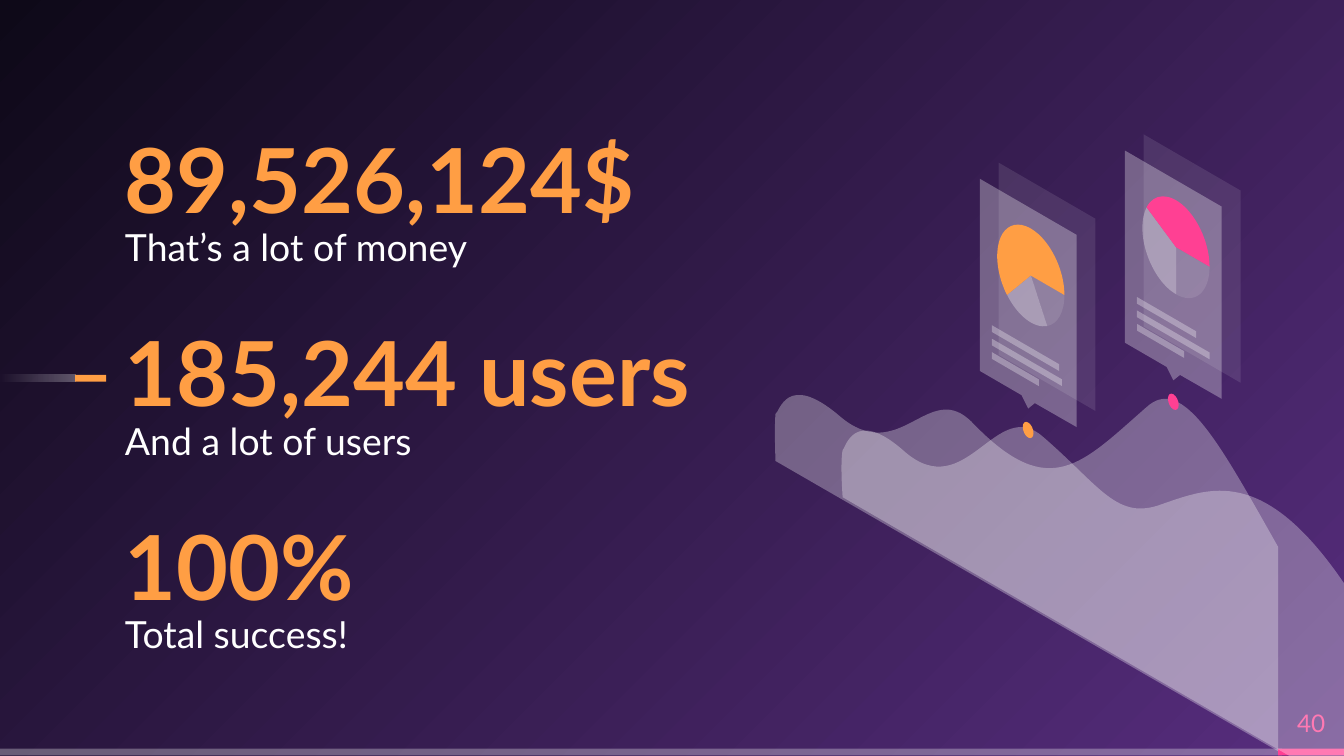
from dataclasses import dataclass
from math import cos, radians, sin, tan

from lxml.etree import SubElement
from pptx import Presentation
from pptx.dml.color import RGBColor
from pptx.enum.shapes import MSO_SHAPE as Shape
from pptx.enum.text import MSO_ANCHOR as Anchor, PP_ALIGN as Align
from pptx.oxml.ns import qn
from pptx.util import Cm, Pt

WHITE, ORANGE, PINK = "FFFFFF", "FF9E44", "FF4093"
FONT = "Lato"
SLOPE = 0.58  # fall per unit of width on the isometric cards
ARC_CURVES = 4

Point = tuple[float, float]
# Two numbers are a corner; six are a Bézier curve from the point before.
Outline = list[tuple[float, ...]]


@dataclass
class Figure:
    value: str
    caption: str


@dataclass
class Slice:
    start: int
    end: int
    color: str
    opacity: int = 100


@dataclass
class Card:
    center: Point
    accent: str
    bar_widths: list[float]
    slices: list[Slice]


FIGURES = [
    Figure("89,526,124$", "That’s a lot of money"),
    Figure("185,244 users", "And a lot of users"),
    Figure("100%", "Total success!"),
]

CARDS = [
    Card((8.75, 1.84), PINK, [0.44, 0.54, 0.35],
         [Slice(0, 90, WHITE, 10), Slice(90, 209, WHITE, 30), Slice(209, 360, PINK)]),
    Card((7.67, 2.05), ORANGE, [0.5, 0.52, 0.35],
         [Slice(0, 61, WHITE, 10), Slice(61, 135, WHITE, 30), Slice(135, 360, ORANGE)]),
]

WAVES: list[Outline] = [
    [(6.24, 3.09), (5.85, 2.76, 5.8, 3.07, 5.77, 3.08), (5.77, 3.08, 5.76, 3.16, 5.77, 3.43),
     (9.51, 5.59), (9.51, 4.07), (9.08, 3.31, 8.8, 2.78, 8.53, 3.03),
     (8.05, 3.45, 7.81, 3.74, 7.24, 3.15), (6.91, 2.8, 6.7, 3.49, 6.24, 3.09)],
    [(6.73, 3.36), (6.35, 3.02, 6.29, 3.34, 6.27, 3.35), (6.27, 3.35, 6.25, 3.42, 6.27, 3.7),
     (10, 5.86), (10, 4.34), (9.4, 3.46, 9, 3.63, 8.65, 3.75),
     (8.31, 3.88, 8.19, 3.62, 7.76, 3.25), (7.41, 2.94, 7.19, 3.76, 6.73, 3.36)],
]


def inch(value: float) -> Cm:
    return Cm(value * 2.54)


def rgb(color: str) -> RGBColor:
    return RGBColor.from_string(color)


def set_opacity(color_element, percent: int) -> None:
    SubElement(color_element, qn("a:alpha")).set("val", str(percent * 1000))


def paint(shape, color: str, opacity: int = 100) -> None:
    shape.shadow.inherit = False
    shape.line.fill.background()
    shape.fill.solid()
    shape.fill.fore_color.rgb = rgb(color)
    if opacity < 100:
        set_opacity(shape._element.spPr.find(".//" + qn("a:srgbClr")), opacity)


def add_bar(slide, left: float, top: float, width: float, color: str, opacity: int = 100):
    bar = slide.shapes.add_shape(
        Shape.RECTANGLE, inch(left), inch(top), inch(width), inch(0.05))
    paint(bar, color, opacity)
    return bar


def add_text(slide, text: str, left: float, top: float, width: float, height: float,
             size: int, color: str, *, bold: bool = False, anchor=Anchor.MIDDLE,
             align=Align.LEFT, spacing: float = 1.0) -> None:
    frame = slide.shapes.add_textbox(
        inch(left), inch(top), inch(width), inch(height)).text_frame
    frame.margin_left = frame.margin_right = frame.margin_top = frame.margin_bottom = 0
    frame.word_wrap = True
    frame.vertical_anchor = anchor
    frame.text = text
    paragraph = frame.paragraphs[0]
    paragraph.alignment = align
    paragraph.line_spacing = spacing
    font = paragraph.runs[0].font
    font.name, font.size, font.bold = FONT, Pt(size), bold
    font.color.rgb = rgb(color)


def flatten(outline: Outline, steps: int = 24) -> list[Point]:
    """Turn corners and curves into plain points, to measure the true extent."""
    points = [outline[0]]
    for segment in outline[1:]:
        if len(segment) == 2:
            points.append(segment)
            continue
        controls = [points[-1], segment[:2], segment[2:4], segment[4:]]
        for t in (step / steps for step in range(1, steps + 1)):
            weights = ((1 - t) ** 3, 3 * t * (1 - t) ** 2, 3 * t * t * (1 - t), t ** 3)
            points.append(tuple(
                sum(w * c[axis] for w, c in zip(weights, controls)) for axis in (0, 1)))
    return points


def add_outline(slide, outline: Outline, color: str, opacity: int = 100) -> None:
    """Size a freeform by its true extent, then write its segments as real curves."""
    corners = [(inch(x), inch(y)) for x, y in flatten(outline)]
    builder = slide.shapes.build_freeform(*corners[0])
    builder.add_line_segments(corners[1:], close=True)
    shape = builder.convert_to_shape()
    drawing = shape._element.spPr.find(".//" + qn("a:path"))
    for command in list(drawing):
        drawing.remove(command)
    for index, segment in enumerate(outline):
        tag = "a:cubicBezTo" if len(segment) == 6 else "a:lnTo" if index else "a:moveTo"
        command = SubElement(drawing, qn(tag))
        for x, y in zip(segment[::2], segment[1::2]):
            SubElement(command, qn("a:pt"), {
                "x": str(inch(x) - shape.left), "y": str(inch(y) - shape.top)})
    SubElement(drawing, qn("a:close"))
    paint(shape, color, opacity)


def isometric_arc(center: Point, radius: float, start: int, end: int) -> Outline:
    def project(u: float, v: float) -> Point:
        return center[0] + radius * u, center[1] + radius * (SLOPE * u + 1.4 * v)

    step = radians(end - start) / ARC_CURVES
    pull = 4 / 3 * tan(step / 4)
    outline: Outline = [project(cos(radians(start)), sin(radians(start)))]
    for index in range(ARC_CURVES):
        a = radians(start) + index * step
        b = a + step
        outline.append(project(cos(a) - pull * sin(a), sin(a) + pull * cos(a))
                       + project(cos(b) + pull * sin(b), sin(b) - pull * cos(b))
                       + project(cos(b), sin(b)))
    return outline


def slanted_panel(left: float, top: float, width: float, height: float) -> Outline:
    right, drop = left + width, width * SLOPE
    return [(left, top), (right, top + drop), (right, top + drop + height),
            (left, top + height)]


def add_card(slide, card: Card) -> None:
    x, y = card.center
    add_outline(slide, isometric_arc((x - 0.02, y + 1.15), 0.04, 0, 360), card.accent)
    add_outline(slide, slanted_panel(x - 0.24, y - 0.84, 0.72, 1.43), WHITE, 10)
    front = slanted_panel(x - 0.38, y - 0.72, 0.72, 1.43)
    pointer = [(x + 0.03, y + 0.95), (x - 0.02, y + 0.99), (x - 0.07, y + 0.89)]
    add_outline(slide, front[:3] + pointer + front[3:], WHITE, 30)
    for part in card.slices:
        arc = isometric_arc(card.center, 0.25, part.start, part.end)
        add_outline(slide, [card.center] + arc, part.color, part.opacity)
    for row, width in enumerate(card.bar_widths):
        add_outline(slide, slanted_panel(x - 0.29, y + 0.37 + 0.1 * row, width, 0.05),
                    WHITE, 30)


def set_background(slide) -> None:
    fill = slide.background.fill
    fill.gradient()
    for stop, color in zip(fill.gradient_stops, ("572D7E", "0E0918")):
        stop.color.rgb = rgb(color)
    gradient = slide._element.find(".//" + qn("a:gradFill"))
    gradient.remove(gradient.find(qn("a:lin")))
    circle = SubElement(gradient, qn("a:path"), {"path": "circle"})
    SubElement(circle, qn("a:fillToRect"), {"l": "100000", "t": "100000"})


def add_fading_bar(slide) -> None:
    bar = add_bar(slide, 0, 2.79, 0.56, WHITE)
    bar.fill.gradient()
    bar.fill.gradient_angle = 180
    for stop in bar.fill.gradient_stops:
        stop.color.rgb = rgb(WHITE)
    for element, opacity in zip(bar._element.spPr.iter(qn("a:srgbClr")), (30, 0)):
        set_opacity(element, opacity)


def main() -> None:
    deck = Presentation()
    deck.slide_width, deck.slide_height = inch(10), inch(5.625)
    slide = deck.slides.add_slide(deck.slide_layouts[6])
    set_background(slide)

    add_bar(slide, 0, 5.57, 9.54, WHITE, 30)
    add_bar(slide, 9.51, 5.57, 0.49, PINK)
    add_fading_bar(slide)
    add_bar(slide, 0.56, 2.79, 0.23, ORANGE)

    for row, figure in enumerate(FIGURES):
        top = 0.88 + 1.44 * row
        add_text(slide, figure.value, 0.93, top, 4.72, 0.98, 48, ORANGE,
                 bold=True, spacing=0.9)
        add_text(slide, figure.caption, 0.93, top + 0.74, 4.72, 0.51, 20, WHITE,
                 anchor=Anchor.TOP, spacing=1.15)
    add_text(slide, "40", 9.51, 5.19, 0.49, 0.38, 13, PINK, align=Align.CENTER)

    for wave in WAVES:
        add_outline(slide, wave, WHITE, 30)
    for card in CARDS:
        add_card(slide, card)
    deck.save("out.pptx")


if __name__ == "__main__":
    main()
